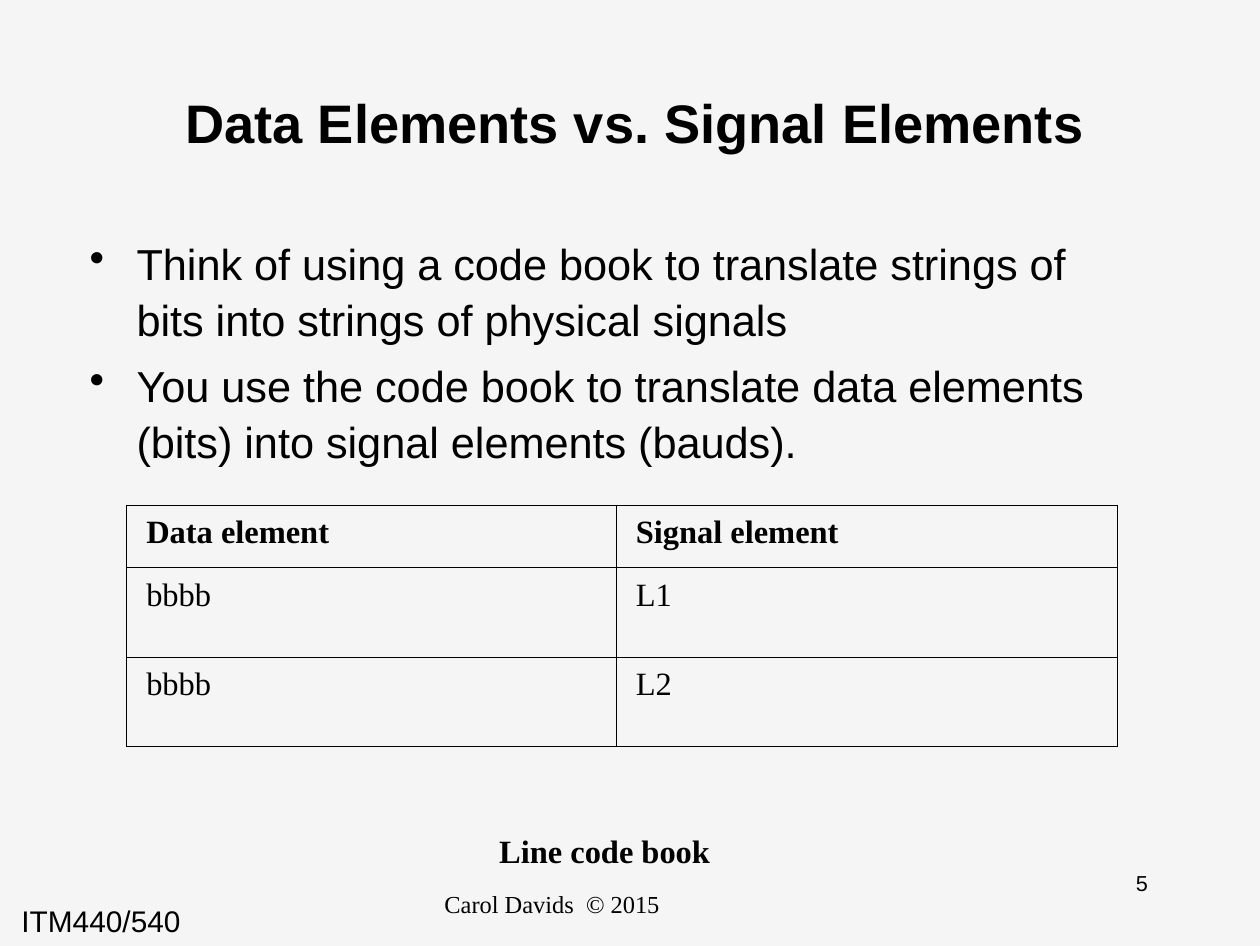
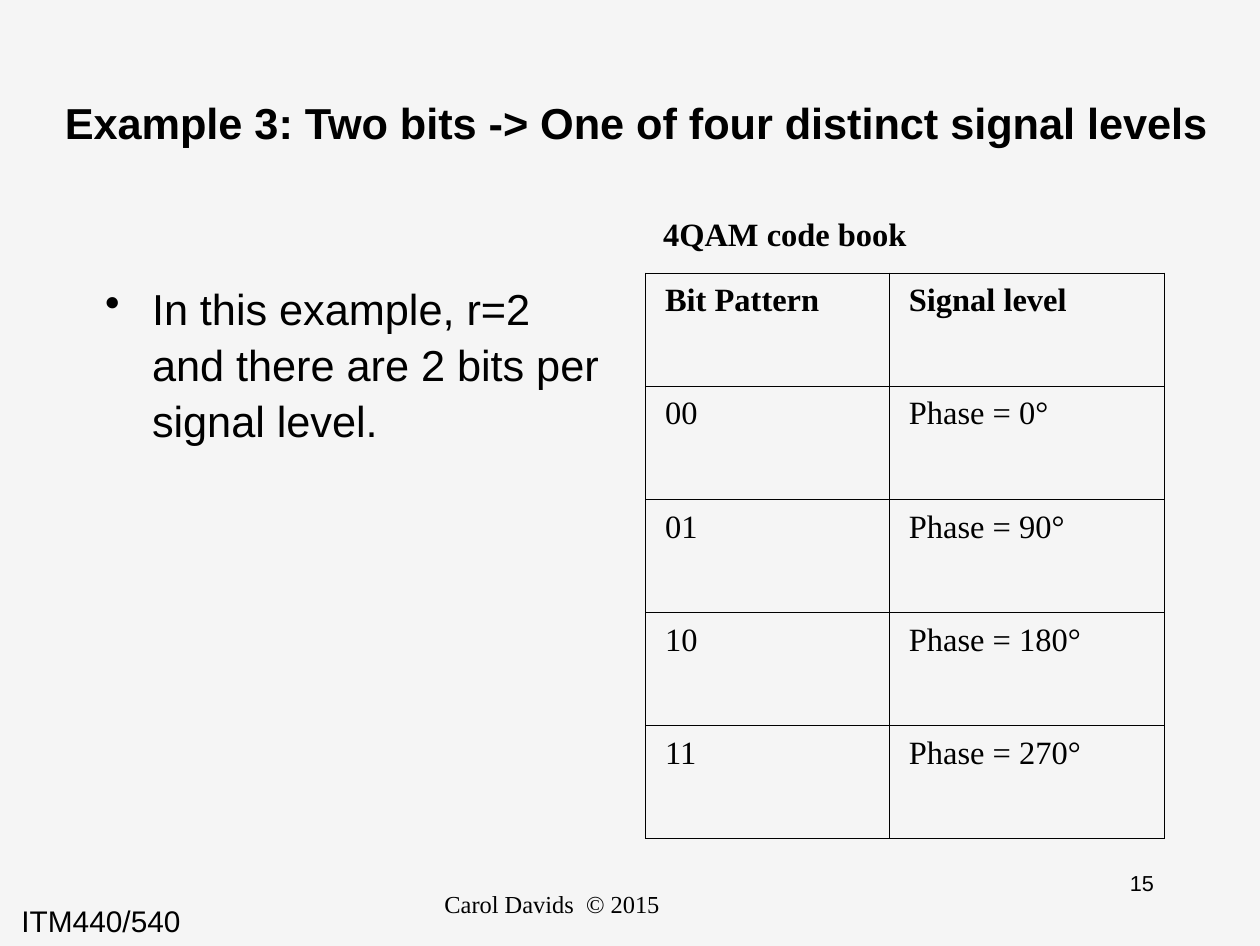
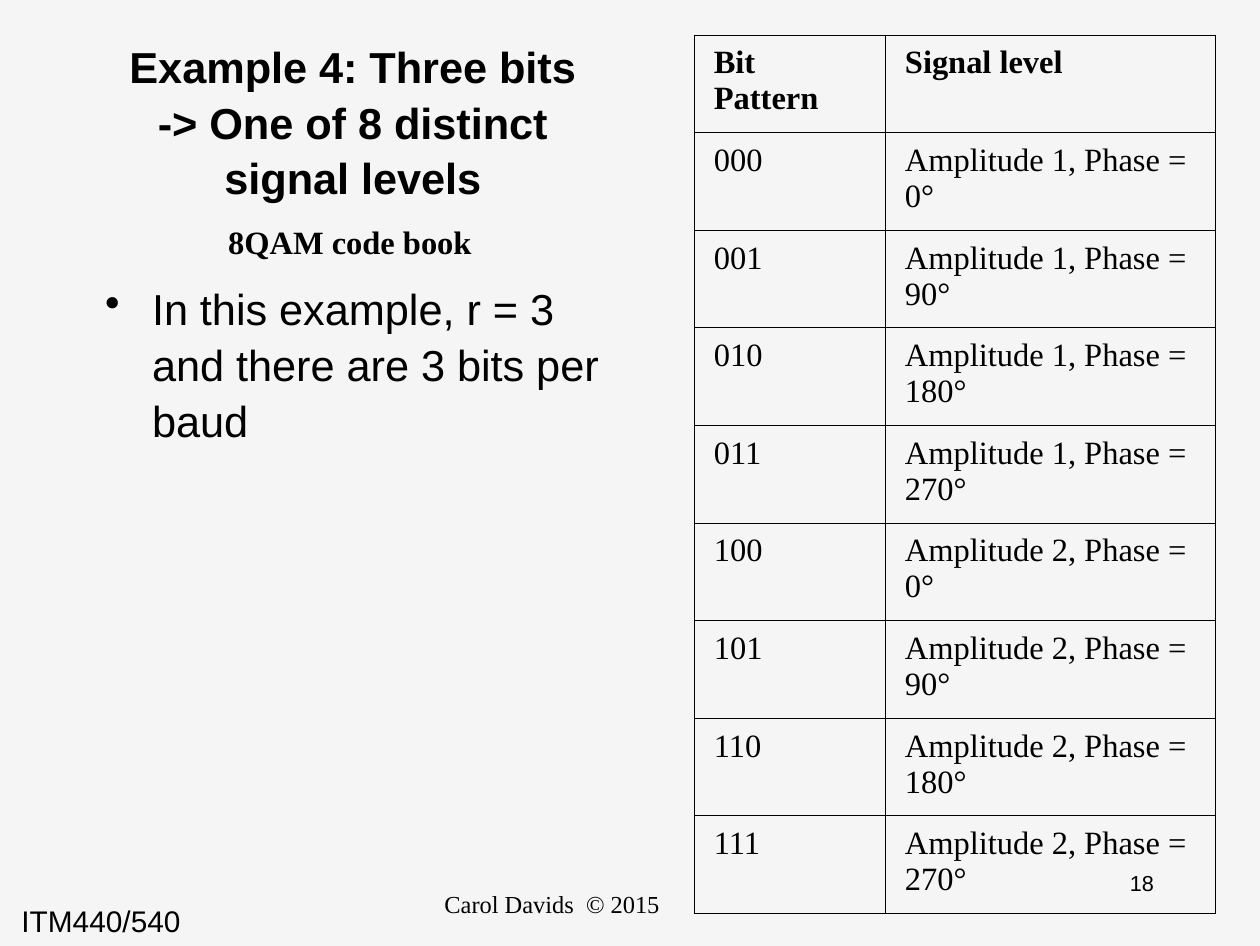
"""Build three slides on data elements, signal elements and code books."""
import pptx
import pptx.dml.color
import pptx.enum.text
import pptx.oxml
import pptx.oxml.ns
import pptx.util

Inches = pptx.util.Inches
Pt = pptx.util.Pt
ALIGN = pptx.enum.text.PP_ALIGN
ANCHOR = pptx.enum.text.MSO_ANCHOR

COLORS = {"back": "F5F5F5", "ink": "000000"}
SANS, SERIF = "Arial", "Times New Roman"
FONTS = {
    "course": {"name": SANS, "size": Pt(11), "bold": False},
    "number": {"name": SANS, "size": Pt(8), "bold": False},
    "footer": {"name": SERIF, "size": Pt(9), "bold": False},
    "title": {"name": SANS, "size": Pt(16), "bold": True},
    "headline": {"name": SANS, "size": Pt(20), "bold": True},
    "body": {"name": SANS, "size": Pt(16), "bold": False},
    "cell": {"name": SERIF, "size": Pt(12), "bold": False},
    "label": {"name": SERIF, "size": Pt(12), "bold": True},
}
CENTER = {"alignment": ALIGN.CENTER}
LOOSE = {"line_spacing": 1.07}
DEGREES = (0, 90, 180, 270)
HEADS = ("Bit Pattern", "Signal level")


def rgb(name):
    return pptx.dml.color.RGBColor.from_string(COLORS[name])


def apply(target, values):
    for key, value in values.items():
        setattr(target, key, value)


def write(para, text, kind, layout=None):
    apply(para, layout or {})
    run = para.add_run()
    run.text = text
    apply(run.font, FONTS[kind])
    run.font.color.rgb = rgb("ink")


def margins(side, edge):
    return {"margin_left": Inches(side), "margin_right": Inches(side),
            "margin_top": Inches(edge), "margin_bottom": Inches(edge)}


def add_box(slide, area, side=0.06, edge=0.03, anchor=ANCHOR.TOP):
    frame = slide.shapes.add_textbox(*map(Inches, area)).text_frame
    apply(frame, {"word_wrap": True, "vertical_anchor": anchor, **margins(side, edge)})
    return frame


def add_title(slide, area, text, kind="title"):
    frame = add_box(slide, area, anchor=ANCHOR.MIDDLE)
    write(frame.paragraphs[0], text, kind, {**CENTER, **LOOSE})


def add_label(slide, left, top, text):
    frame = add_box(slide, (left, top, 1.3, 0.2), 0, 0)
    write(frame.paragraphs[0], text, "label")


def add_list(slide, area, items):
    frame = add_box(slide, area)
    for index, item in enumerate(items):
        para = frame.add_paragraph() if index else frame.paragraphs[0]
        props = para._p.get_or_add_pPr()
        props.set("marL", str(Inches(0.24)))
        props.set("indent", str(-Inches(0.24)))
        bullet = pptx.oxml.parse_xml(
            f'<a:buChar {pptx.oxml.ns.nsdecls("a")} char="•"/>')
        props.append(bullet)
        write(para, item, "body", {**LOOSE, "space_before": Pt(4 if index else 0)})


def add_frame(cell):
    props = cell._tc.get_or_add_tcPr()
    for side in "LRTB":
        props.append(pptx.oxml.parse_xml(
            f'<a:ln{side} {pptx.oxml.ns.nsdecls("a")} w="{Pt(0.45)}"><a:solidFill>'
            f'<a:srgbClr val="{COLORS["ink"]}"/></a:solidFill></a:ln{side}>'))
    cell.fill.background()


def add_grid(slide, left, top, widths, heights, rows):
    area = map(Inches, (left, top, sum(widths), sum(heights)))
    table = slide.shapes.add_table(len(rows), len(widths), *area).table
    apply(table, {"first_row": False, "horz_banding": False})
    for column, width in zip(table.columns, widths):
        column.width = Inches(width)
    for index, (row, height, texts) in enumerate(zip(table.rows, heights, rows)):
        row.height = Inches(height)
        for cell, text in zip(row.cells, texts):
            apply(cell, margins(0.1, 0.05))
            add_frame(cell)
            write(cell.text_frame.paragraphs[0], text, "cell" if index else "label")


def add_page(deck, number):
    slide = deck.slides.add_slide(deck.slide_layouts[6])
    course = add_box(slide, (0, 4.58, 2.1, 0.29), 0.11, 0.05)
    write(course.paragraphs[0], "ITM440/540", "course")
    page = add_box(slide, (5.35, 4.43, 1.01, 0.32))
    write(page.paragraphs[0], str(number), "number", CENTER)
    footer = add_box(slide, (1.7, 4.53, 2.26, 0.32))
    write(footer.paragraphs[0], "Carol Davids  © 2015", "footer", CENTER)
    return slide


def add_terms(deck):
    slide = add_page(deck, 5)
    add_title(slide, (0.51, 0.21, 5.49, 0.81),
              "Data Elements vs. Signal Elements", "headline")
    add_list(slide, (0.4, 1.17, 5.41, 1.27), [
        "Think of using a code book to translate strings of bits into strings of physical signals",
        "You use the code book to translate data elements (bits) into signal elements (bauds).",
    ])
    add_label(slide, 2.56, 4.26, "Line code book")
    add_grid(slide, 0.65, 2.59, (2.51, 2.57), (0.32, 0.46, 0.46), [
        ("Data element", "Signal element"), ("bbbb", "L1"), ("bbbb", "L2")])


def add_four(deck):
    slide = add_page(deck, 15)
    add_title(slide, (0.18, 0.21, 6.17, 0.81),
              "Example 3: Two bits -> One of four distinct signal levels")
    add_list(slide, (0.48, 1.4, 2.66, 2.91),
             ["In this example, r=2 and there are 2 bits per signal level."])
    rows = [(f"{code:02b}", f"Phase = {angle}°") for code, angle in enumerate(DEGREES)]
    add_grid(slide, 3.31, 1.4, (1.25, 1.41), [0.58] * 5, [HEADS, *rows])
    add_label(slide, 3.4, 1.1, "4QAM code book")


def add_eight(deck):
    slide = add_page(deck, 18)
    add_title(slide, (0.48, 0.21, 2.66, 0.81),
              "Example 4: Three bits -> One of 8 distinct signal levels")
    add_list(slide, (0.48, 1.4, 2.66, 2.91),
             ["In this example, r = 3 and there are 3 bits per baud"])
    add_label(slide, 1.17, 1.14, "8QAM code book")
    levels = [(size, angle) for size in (1, 2) for angle in DEGREES]
    rows = [(f"{code:03b}", f"Amplitude {size}, Phase = {angle}°")
            for code, (size, angle) in enumerate(levels)]
    add_grid(slide, 3.56, 0.18, (0.98, 1.69), [0.5] * 9, [HEADS, *rows])


def main():
    deck = pptx.Presentation()
    apply(deck, {"slide_width": Inches(6.46), "slide_height": Inches(4.85)})
    fill = deck.slide_master.background.fill
    fill.solid()
    fill.fore_color.rgb = rgb("back")
    add_terms(deck)
    add_four(deck)
    add_eight(deck)
    deck.save("out.pptx")


if __name__ == "__main__":
    main()
